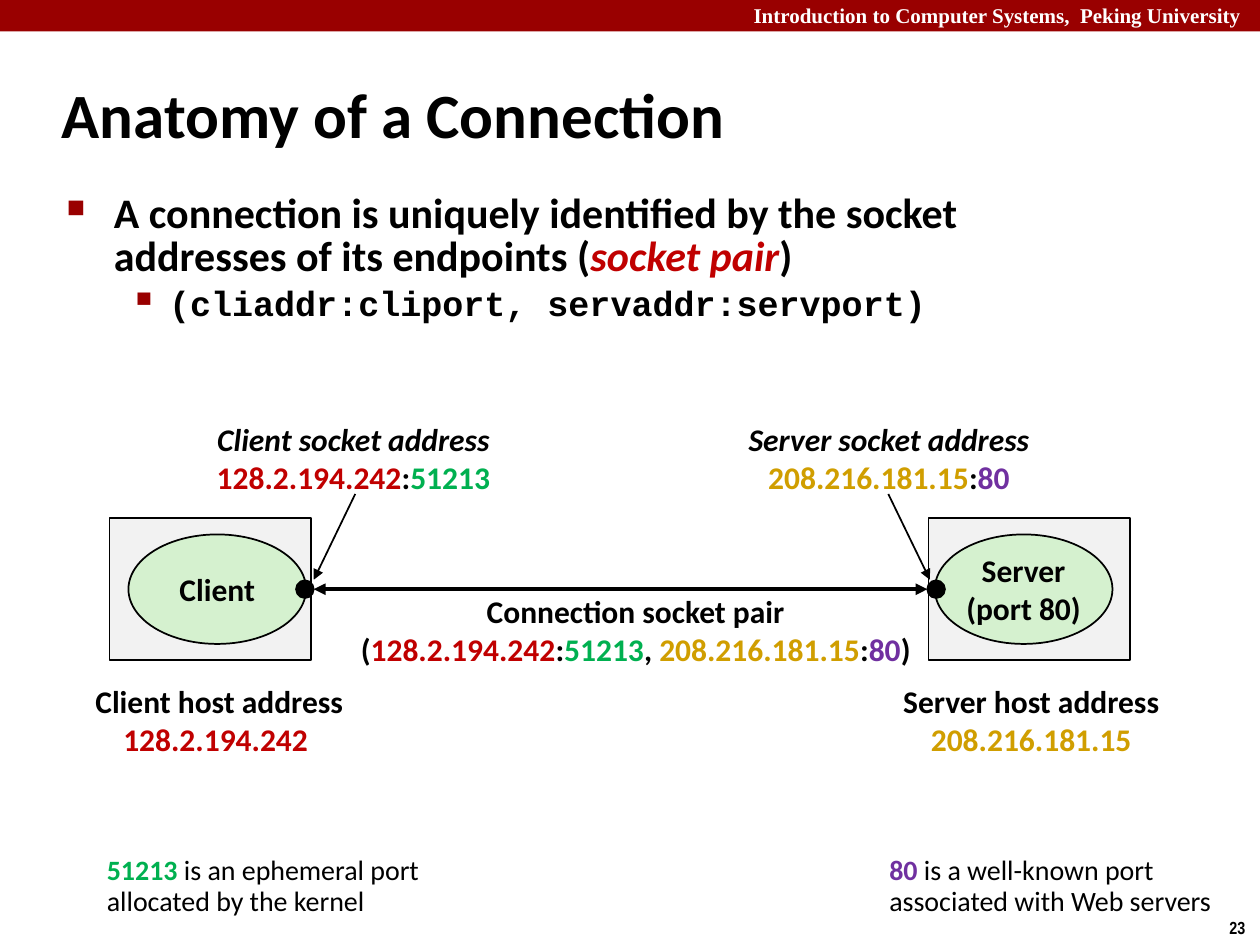
from lxml.etree import SubElement
from pptx import Presentation
from pptx.dml.color import RGBColor
from pptx.enum.shapes import MSO_CONNECTOR as Link, MSO_SHAPE as Shape
from pptx.enum.text import MSO_ANCHOR as Anchor, MSO_AUTO_SIZE as Fit, PP_ALIGN as Align
from pptx.oxml.ns import qn
from pptx.util import Pt

BLACK, WHITE, CRIMSON, RED = "000000", "FFFFFF", "990000", "C00000"
PLAIN = {"name": "Calibri", "size": 18, "bold": True, "italic": False, "color": BLACK}
CLIENT_ADDRESS = ("128.2.194.242", {"color": RED})
CLIENT_PORT = ("51213", {"color": "00B050"})
SERVER_ADDRESS = ("208.216.181.15", {"color": "D09E00"})
SERVER_PORT = ("80", {"color": "7030A0"})
CLIENT_SOCKET = [CLIENT_ADDRESS, ":", CLIENT_PORT]
SERVER_SOCKET = [SERVER_ADDRESS, ":", SERVER_PORT]
HOST_WIDTH, HOST_HEIGHT = 115.2, 81.4
OVAL_WIDTH, OVAL_HEIGHT, DOT = 101.5, 62.6, 10.1


def rgb(code):
    """Turn a hex string into a colour."""
    return RGBColor.from_string(code)


def format_font(font, **changes):
    """Apply the plain text format with the given changes."""
    values = {**PLAIN, **changes}
    font.color.rgb = rgb(values.pop("color"))
    values["size"] = Pt(values["size"])
    for key, value in values.items():
        setattr(font, key, value)


def write_para(para, spans, align=Align.CENTER, spacing=None, **base):
    """Write a paragraph from strings and (string, format) pairs."""
    para.alignment = align
    para.line_spacing = spacing
    for item in spans:
        words, changes = (item, {}) if isinstance(item, str) else item
        span = para.add_run()
        span.text = words
        format_font(span.font, **{**base, **changes})


def write_lines(frame, lines, anchor=Anchor.MIDDLE, wrap=False, **options):
    """Fill a text frame with one paragraph per line."""
    frame.word_wrap = wrap
    frame.vertical_anchor = anchor
    for index, spans in enumerate(lines):
        para = frame.add_paragraph() if index else frame.paragraphs[0]
        write_para(para, spans, **options)


def add_text(page, box, lines, **options):
    """Add a text box."""
    label = page.shapes.add_textbox(*map(Pt, box))
    write_lines(label.text_frame, lines, **options)
    return label


def add_shape(page, kind, box, fill, outline=BLACK):
    """Add a filled preset shape without shadow."""
    shape = page.shapes.add_shape(kind, *map(Pt, box))
    shape.shadow.inherit = False
    shape.fill.solid()
    shape.fill.fore_color.rgb = rgb(fill)
    if outline:
        shape.line.color.rgb = rgb(outline)
        shape.line.width = Pt(1)
    else:
        shape.line.fill.background()
    return shape


def add_arrow(page, start, end, width=1, ends=("tailEnd",)):
    """Add a straight black arrow."""
    arrow = page.shapes.add_connector(Link.STRAIGHT, *map(Pt, (*start, *end)))
    arrow.line.color.rgb = rgb(BLACK)
    arrow.line.width = Pt(width)
    for tip in ends:
        SubElement(arrow.line._get_or_add_ln(), qn(f"a:{tip}"), type="triangle")
    SubElement(arrow._element.spPr, qn("a:effectLst"))


def add_bullet(para, sign, percent, margin, hang):
    """Give a paragraph a hanging crimson bullet."""
    props = para._p.get_or_add_pPr()
    props.set("marL", str(Pt(margin)))
    props.set("indent", str(Pt(-hang)))
    SubElement(SubElement(props, qn("a:buClr")), qn("a:srgbClr"), val=CRIMSON)
    SubElement(props, qn("a:buSzPct"), val=str(percent * 1000))
    SubElement(props, qn("a:buChar"), char=sign)


def draw_header(page, width):
    """Draw the course band along the top edge."""
    add_shape(page, Shape.RECTANGLE, (0, 0, width, 18), CRIMSON, None)
    add_text(page, (342, -2.2, 377.3, 21.6),
             [["Introduction to Computer Systems,  Peking University "]],
             anchor=Anchor.TOP, wrap=True, align=Align.RIGHT,
             name="Times New Roman", size=12, color=WHITE)


def draw_title(page, box):
    """Place and format the title."""
    title = page.shapes.title
    for side, value in zip(("left", "top", "width", "height"), box):
        setattr(title, side, Pt(value))
    title.text_frame.auto_size = Fit.NONE
    write_lines(title.text_frame, [["Anatomy of a Connection"]],
                wrap=True, align=Align.LEFT, size=36)


def draw_points(page, box):
    """Write the bullet list."""
    frame = add_text(page, box, [], anchor=Anchor.TOP, wrap=True).text_frame
    claim, pair = frame.paragraphs[0], frame.add_paragraph()
    add_bullet(claim, "■", 60, 27, 27)
    write_para(claim, ["A connection is uniquely identified by the socket addresses of its endpoints (",
                       ("socket pair", {"color": RED, "italic": True}), ")"],
               align=Align.LEFT, spacing=0.85, size=24)
    add_bullet(pair, "▪", 110, 58.5, 22.5)
    write_para(pair, ["(cliaddr:cliport, servaddr:servport)"],
               align=Align.LEFT, spacing=0.9, name="Courier New", size=20)
    pair.level = 1
    pair.space_before = Pt(4)


def draw_host(page, left, top, lines, oval_shift, dot_shift):
    """Draw a host with its process and socket."""
    middle = top + HOST_HEIGHT / 2
    add_shape(page, Shape.RECTANGLE, (left, top, HOST_WIDTH, HOST_HEIGHT), "F2F2F2")
    oval = add_shape(page, Shape.OVAL, (left + oval_shift, middle - OVAL_HEIGHT / 2,
                                        OVAL_WIDTH, OVAL_HEIGHT), "D5F1CF")
    write_lines(oval.text_frame, lines)
    add_shape(page, Shape.OVAL, (left + dot_shift, middle - DOT / 2, DOT, DOT), BLACK)


def draw_connection(page, top):
    """Draw both hosts, the link between them and their labels."""
    middle = top + HOST_HEIGHT / 2
    draw_host(page, 62.6, top, [["Client"]], 10.8, 106.6)
    draw_host(page, 530.6, top, [["Server"], ["(port 80)"]], 3.6, -0.7)
    add_arrow(page, (179.3, middle), (529.9, middle), 2.25, ("headEnd", "tailEnd"))
    add_arrow(page, (203, top - 13.7), (179.3, top + 35.3))
    add_arrow(page, (507.6, top - 13.7), (531.4, top + 35.3))
    slant = {"italic": True}
    labels = [
        (115.9, -59.8, 172.1, [[("Client socket address", slant)], CLIENT_SOCKET]),
        (406.1, -59.8, 203.8, [[("Server socket address", slant)], SERVER_SOCKET]),
        (197.3, 38.2, 331.9, [["Connection socket pair"],
                              ["(", *CLIENT_SOCKET, ", ", *SERVER_SOCKET, ")"]]),
        (46.8, 90, 157, [["Client host address"], [CLIENT_ADDRESS, " "]]),
        (508.3, 90, 162, [["Server host address"], [SERVER_ADDRESS]]),
    ]
    for left, shift, width, lines in labels:
        add_text(page, (left, top + shift, width, 51.1), lines)


def draw_notes(page, top):
    """Explain the two port numbers."""
    light = {"bold": False}
    notes = [(54, CLIENT_PORT, " is an ephemeral port", "allocated by the kernel"),
             (501.1, SERVER_PORT, " is a well-known port", "associated with Web servers")]
    for left, port, first, second in notes:
        add_text(page, (left, top, 201.2, 42.5), [[port, (first, light)], [(second, light)]],
                 anchor=Anchor.TOP, align=Align.LEFT, spacing=0.9, size=16)


def main():
    """Build the deck."""
    deck = Presentation()
    deck.slide_width, deck.slide_height = Pt(720), Pt(540)
    page = deck.slides.add_slide(deck.slide_layouts[5])
    draw_header(page, 720)
    draw_title(page, (28.1, 34.6, 597.6, 59.8))
    draw_points(page, (31, 107.3, 622, 90.7))
    draw_connection(page, 296)
    draw_notes(page, 486)
    add_text(page, (695.5, 520.6, 24.5, 19.4), [["23"]], anchor=Anchor.TOP,
             align=Align.LEFT, name="Arial Narrow", size=10)
    deck.save("out.pptx")


if __name__ == "__main__":
    main()
